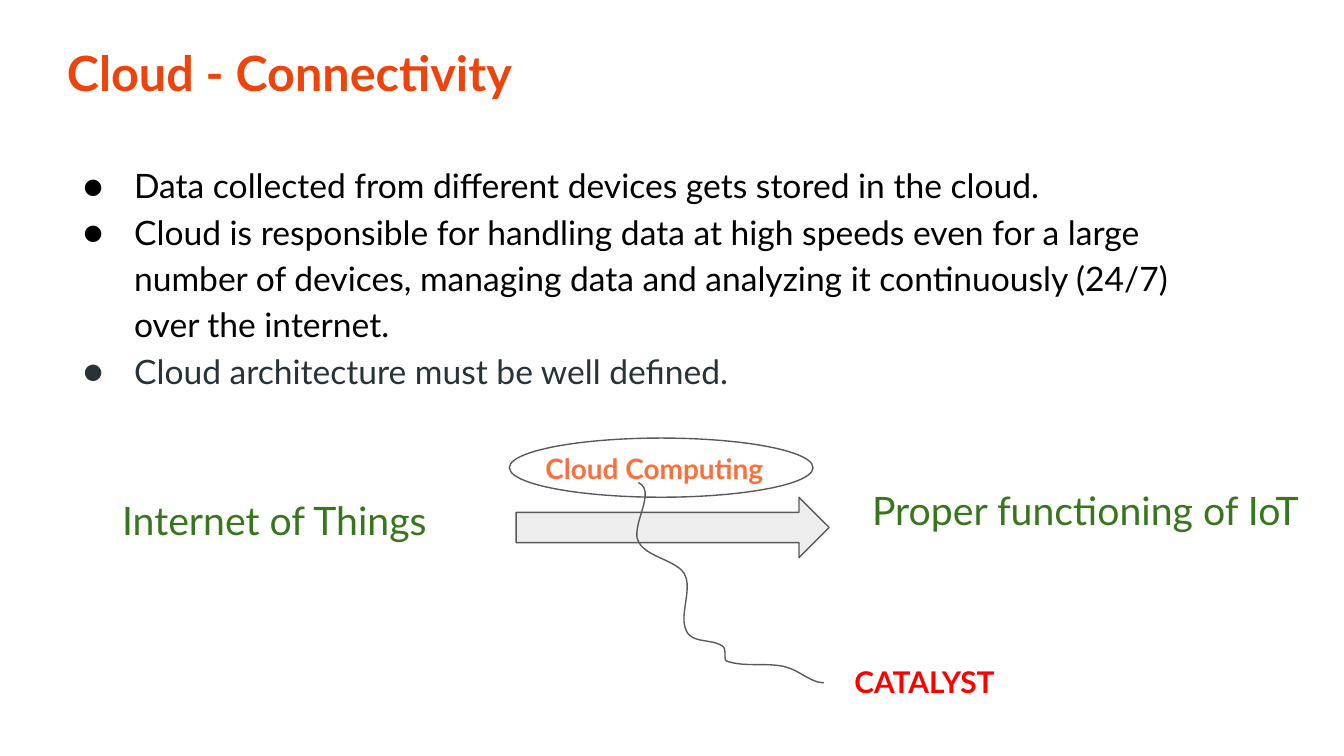
from lxml.etree import SubElement
from pptx import Presentation
from pptx.dml.color import RGBColor
from pptx.enum.shapes import MSO_SHAPE
from pptx.oxml.ns import qn
from pptx.util import Inches, Pt

ORANGE = RGBColor(0xED, 0x44, 0x0D)
LIGHT_ORANGE = RGBColor(0xFA, 0x70, 0x3D)
GREEN = RGBColor(0x38, 0x76, 0x1D)
RED = RGBColor(0xFF, 0x00, 0x00)
BLACK = RGBColor(0x00, 0x00, 0x00)
SLATE = RGBColor(0x27, 0x32, 0x39)
OUTLINE = RGBColor(0x59, 0x59, 0x59)
PALE_GRAY = RGBColor(0xEE, 0xEE, 0xEE)
WHITE = RGBColor(0xFF, 0xFF, 0xFF)

SLIDE_WIDTH = 10
SLIDE_HEIGHT = SLIDE_WIDTH * 9 / 16

FONT = "Lato"
TITLE = "Cloud - Connectivity"
TITLE_GAP = 31  # points between title and bullets
BODY_BOX = (0.4, 0.22, 8.7, 4.72)
BULLETS = [
    ("Data collected from different devices gets stored in the cloud.", BLACK),
    ("Cloud is responsible for handling data at high speeds even for a large "
     "number of devices, managing data and analyzing it continuously (24/7) "
     "over the internet.", BLACK),
    ("Cloud architecture must be well defined.", SLATE),
]

ARROW_BOX = (3.84, 3.7, 2.33, 0.45)
ELLIPSE_BOX = (3.79, 3.26, 2.26, 0.44)
CLOUD_LABEL = ("Cloud Computing", (3.96, 3.26, 1.97, 0.45), 15, LIGHT_ORANGE, True)
OUTER_LABELS = [
    ("Proper functioning of IoT", (6.39, 3.52, 3.43, 0.91), 21, GREEN, False),
    ("CATALYST", (6.26, 4.84, 2.33, 0.47), 16, RED, True),
    ("Internet of Things", (0.81, 3.59, 2.91, 0.56), 21, GREEN, False),
]

# Each squiggle piece: two control points, then the end point
SQUIGGLE_START = (4.75, 3.59)
SQUIGGLE = [
    ((4.88, 3.65), (4.72, 3.87), (4.74, 4.0)),
    ((4.77, 4.13), (4.97, 4.15), (5.07, 4.24)),
    ((5.18, 4.35), (5.04, 4.57), (5.11, 4.7)),
    ((5.16, 4.79), (5.3, 4.75), (5.38, 4.81)),
    ((5.41, 4.84), (5.38, 4.91), (5.41, 4.92)),
    ((5.56, 4.97), (5.73, 4.92), (5.87, 4.97)),
    ((5.96, 5.0), (6.04, 5.08), (6.13, 5.08)),
]
STEPS = 12


def add_frame(slide, box):
    frame = slide.shapes.add_textbox(*map(Inches, box)).text_frame
    frame.word_wrap = True
    frame.margin_left = frame.margin_right = Inches(0.1)
    frame.margin_top = frame.margin_bottom = Inches(0.1)
    return frame


def write(paragraph, text, *, size, color, bold=False, bullet=None,
          line_spacing=None, space_before=0):
    paragraph.space_before = Pt(space_before)
    if line_spacing:
        paragraph.line_spacing = line_spacing
    if bullet:
        props = paragraph._p.get_or_add_pPr()
        props.set("marL", str(Inches(0.5)))
        props.set("indent", str(Inches(-0.38)))
        bullet_color = SubElement(props, qn("a:buClr"))
        SubElement(bullet_color, qn("a:srgbClr"), val=str(color))
        SubElement(props, qn("a:buFont"), typeface=FONT)
        SubElement(props, qn("a:buChar"), char=bullet)
    run = paragraph.add_run()
    run.text = text
    run.font.name = FONT
    run.font.size = Pt(size)
    run.font.bold = bold
    run.font.color.rgb = color


def add_label(slide, text, box, size, color, bold):
    write(add_frame(slide, box).paragraphs[0], text,
          size=size, color=color, bold=bold)


def outline(shape, fill=None):
    shape.shadow.inherit = False
    if fill is None:
        shape.fill.background()
    else:
        shape.fill.solid()
        shape.fill.fore_color.rgb = fill
    shape.line.color.rgb = OUTLINE
    shape.line.width = Pt(0.75)


def bezier_points(start, pieces):
    """Sample a chain of cubic curves at equal parameter steps."""
    points = []
    for first, second, end in pieces:
        for step in range(1, STEPS + 1):
            t = step / STEPS
            u = 1 - t
            points.append(tuple(
                Inches(u**3 * a + 3 * u * u * t * b + 3 * u * t * t * c + t**3 * d)
                for a, b, c, d in zip(start, first, second, end)))
        start = end
    return points


def main():
    prs = Presentation()
    prs.slide_width, prs.slide_height = Inches(SLIDE_WIDTH), Inches(SLIDE_HEIGHT)
    slide = prs.slides.add_slide(prs.slide_layouts[6])

    body = add_frame(slide, BODY_BOX)
    write(body.paragraphs[0], TITLE, size=26, color=ORANGE, bold=True)
    for i, (text, color) in enumerate(BULLETS):
        write(body.add_paragraph(), text, size=18, color=color, bullet="●",
              line_spacing=1.15, space_before=0 if i else TITLE_GAP)

    for kind, box, fill in [(MSO_SHAPE.RIGHT_ARROW, ARROW_BOX, PALE_GRAY),
                            (MSO_SHAPE.OVAL, ELLIPSE_BOX, WHITE)]:
        outline(slide.shapes.add_shape(kind, *map(Inches, box)), fill)
    add_label(slide, *CLOUD_LABEL)

    builder = slide.shapes.build_freeform(*map(Inches, SQUIGGLE_START))
    builder.add_line_segments(bezier_points(SQUIGGLE_START, SQUIGGLE), close=False)
    outline(builder.convert_to_shape())

    for label in OUTER_LABELS:
        add_label(slide, *label)

    prs.save("out.pptx")


if __name__ == "__main__":
    main()
